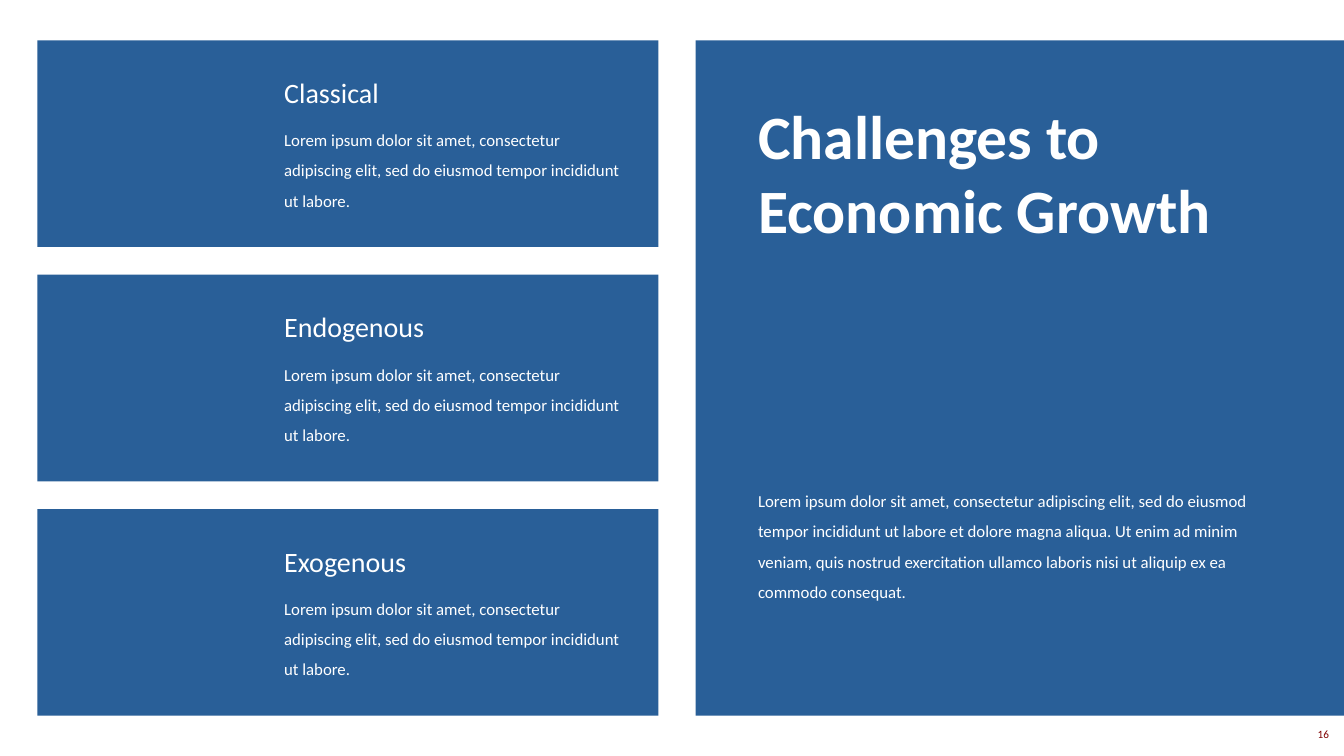
from pptx import Presentation
from pptx.dml.color import RGBColor
from pptx.enum import shapes as kinds, text as txt
from pptx.util import Inches, Pt

BLUE = RGBColor(0x29, 0x5F, 0x98)
WHITE = RGBColor(0xFF, 0xFF, 0xFF)
MAROON = RGBColor(0x80, 0x00, 0x00)

MODELS = ["Classical", "Endogenous", "Exogenous"]
BRIEF = ("Lorem ipsum dolor sit amet, consectetur adipiscing elit, "
         "sed do eiusmod tempor incididunt ut labore")
DETAIL = (BRIEF + " et dolore magna aliqua. Ut enim ad minim veniam, "
          "quis nostrud exercitation ullamco laboris nisi ut aliquip "
          "ex ea commodo consequat.")


def add_panel(slide, *box):
    panel = slide.shapes.add_shape(kinds.MSO_SHAPE.RECTANGLE, *map(Inches, box))
    panel.shadow.inherit = False
    panel.fill.solid()
    panel.fill.fore_color.rgb = BLUE
    panel.line.fill.background()


def add_text(slide, words, box, size, color=WHITE, bold=False, space=1.0,
             align=txt.PP_ALIGN.LEFT):
    frame = slide.shapes.add_textbox(*map(Inches, box)).text_frame
    frame.word_wrap = True
    para = frame.paragraphs[0]
    para.text = words
    para.alignment = align
    para.line_spacing = space
    para.font.name = "Calibri"
    para.font.size = Pt(size)
    para.font.bold = bold
    para.font.color.rgb = color


def add_card(slide, name, top):
    add_panel(slide, 0.37, top, 6.16, 2.05)
    add_text(slide, BRIEF + ".", (2.72, top + 0.74, 3.56, 1.01), 12, space=1.5)
    add_text(slide, name, (2.72, top + 0.3, 3.56, 0.44), 20)


def main():
    deck = Presentation()
    deck.slide_width = Inches(13.33)
    deck.slide_height = Inches(7.5)
    slide = deck.slides.add_slide(deck.slide_layouts[6])

    add_text(slide, "16", (12.74, 7.17, 0.54, 0.24), 8, MAROON,
             align=txt.PP_ALIGN.RIGHT)
    for row, name in enumerate(MODELS):
        add_card(slide, name, 0.4 + row * 2.325)

    add_panel(slide, 6.9, 0.4, 6.43, 6.7)
    add_text(slide, "Challenges to Economic Growth", (7.42, 0.92, 5.55, 2.32),
             44, bold=True)
    add_text(slide, DETAIL, (7.42, 4.72, 5.29, 1.31), 12, space=1.5)
    deck.save("out.pptx")


if __name__ == "__main__":
    main()
